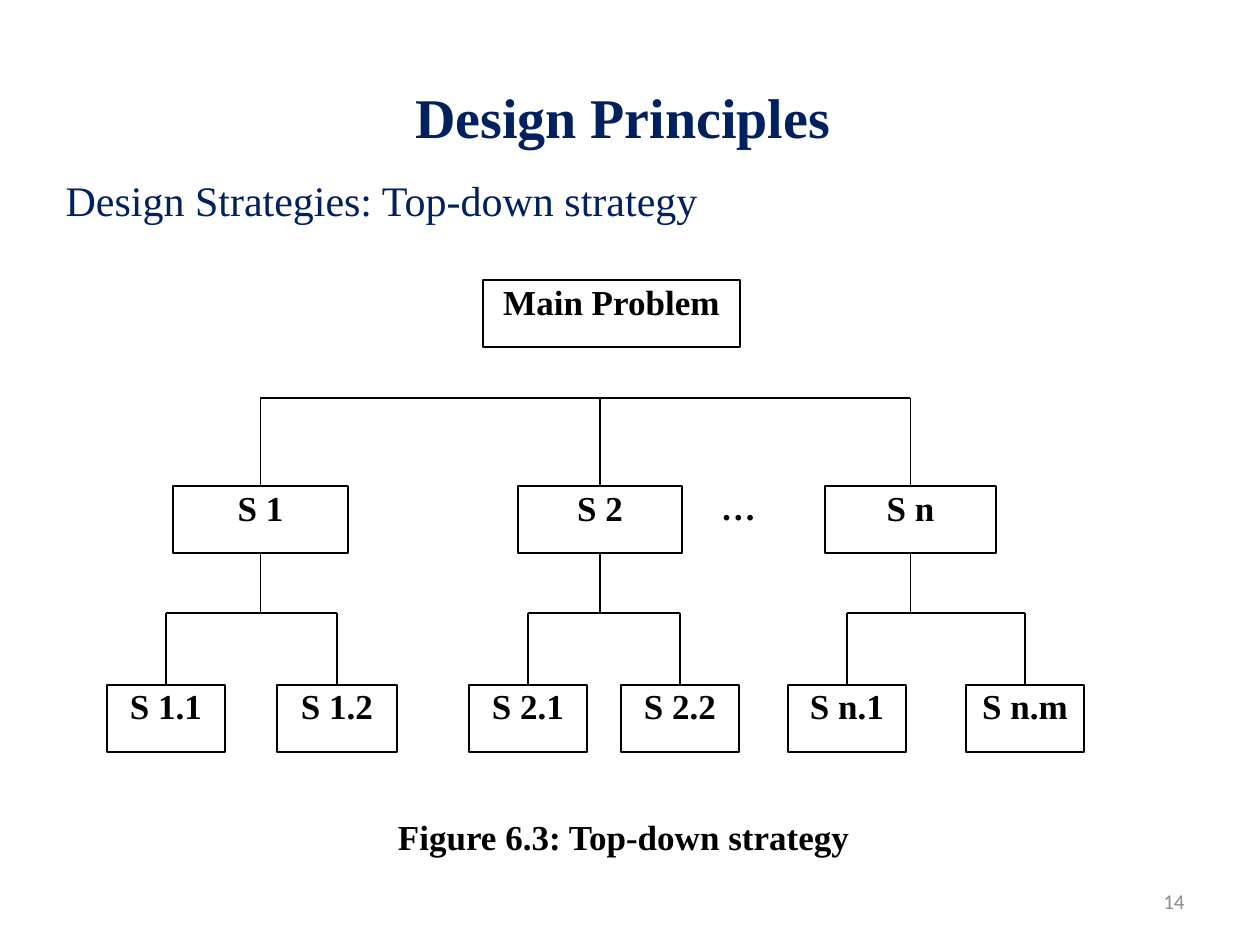
"""Build a slide showing a top-down design strategy as a tree of subproblems."""
from lxml.etree import SubElement
from pptx import Presentation
from pptx.dml.color import RGBColor
from pptx.enum.shapes import MSO_CONNECTOR, MSO_SHAPE
from pptx.enum.text import MSO_ANCHOR as Anchor, PP_ALIGN as Align
from pptx.oxml.ns import qn
from pptx.util import Emu, Pt

PX = 914400 // 126
SERIF = "Times New Roman"
NAVY, BLACK, WHITE, GREY = "002060", "000000", "FFFFFF", "8C8C8C"

TITLE = ("Design Principles ", (63, 38, 1134, 157))
SUBTITLE = ("Design Strategies: Top-down strategy", (53, 168, 1134, 84))
PAGE = ("14", (903, 876, 294, 50))
CAPTION = ("Figure 6.3: Top-down strategy", (398, 816, 480, 60))
ELLIPSIS = ("…", (721, 486, 53, 66))
ROOT = ("Main Problem", 483, 257)
BRANCHES = [
    (("S 1", 173, 175), [("S 1.1", 107, 118), ("S 1.2", 277, 120)]),
    (("S 2", 518, 164), [("S 2.1", 469, 118), ("S 2.2", 621, 118)]),
    (("S n", 825, 171), [("S n.1", 788, 118), ("S n.m", 966, 118)]),
]
ROOT_TOP, BRANCH_TOP, LEAF_TOP = 280, 486, 685
TOP_RAIL, LEAF_RAIL = 398, 613
BOX_HEIGHT = 67
TOP_SIDE, BOTTOM_SIDE = 0, 2


def px(*lengths):
    return [Emu(length * PX) for length in lengths]


def rgb(code):
    return RGBColor.from_string(code)


def write(shape, text, size, color, bold=False, align=Align.LEFT, font=SERIF):
    paragraph = shape.text_frame.paragraphs[0]
    paragraph.text = text
    paragraph.alignment = align
    paragraph.space_before = Pt(0)
    paragraph.font.name = font
    paragraph.font.size = Pt(size)
    paragraph.font.bold = bold
    paragraph.font.color.rgb = rgb(color)


def place(shape, bounds):
    shape.left, shape.top, shape.width, shape.height = px(*bounds)


def add_box(slide, text, bounds, outline=BLACK, align=Align.CENTER):
    box = slide.shapes.add_shape(MSO_SHAPE.RECTANGLE, *px(*bounds))
    box.shadow.inherit = False
    box.fill.solid()
    box.fill.fore_color.rgb = rgb(WHITE)
    box.line.color.rgb = rgb(outline)
    box.line.width = Pt(0.75)
    frame = box.text_frame
    frame.margin_left = frame.margin_top = frame.margin_right = frame.margin_bottom = 0
    frame.vertical_anchor = Anchor.TOP
    frame.word_wrap = True
    write(box, text, 20, BLACK, True, align)
    return box


def add_node(slide, node, top):
    text, left, width = node
    return add_box(slide, text, (left, top, width, BOX_HEIGHT))


def center(box):
    return box.left + box.width // 2


def add_line(slide, x1, y1, x2, y2):
    line = slide.shapes.add_connector(MSO_CONNECTOR.STRAIGHT, x1, y1, x2, y2)
    line.line.color.rgb = rgb(BLACK)
    line.line.width = Pt(0.75)
    SubElement(line._element.spPr, qn("a:effectLst"))
    return line


def add_fork(slide, boxes, rail):
    add_line(slide, center(boxes[0]), rail, center(boxes[-1]), rail)
    for box in boxes:
        drop = add_line(slide, center(box), rail, center(box), box.top)
        drop.end_connect(box, TOP_SIDE)


def add_tree(slide):
    add_node(slide, ROOT, ROOT_TOP)
    top_rail, leaf_rail = px(TOP_RAIL, LEAF_RAIL)
    parents = []
    for branch, leaves in BRANCHES:
        parent = add_node(slide, branch, BRANCH_TOP)
        parents.append(parent)
        stem = add_line(slide, center(parent), parent.top + parent.height,
                        center(parent), leaf_rail)
        stem.begin_connect(parent, BOTTOM_SIDE)
        add_fork(slide, [add_node(slide, leaf, LEAF_TOP) for leaf in leaves], leaf_rail)
    add_fork(slide, parents, top_rail)


def main():
    deck = Presentation()
    deck.slide_width, deck.slide_height = px(1260, 945)
    slide = deck.slides.add_slide(deck.slide_layouts[1])

    title, body = slide.placeholders
    place(title, TITLE[1])
    write(title, TITLE[0], 32, NAVY, True, Align.CENTER)
    place(body, SUBTITLE[1])
    properties = body.text_frame.paragraphs[0]._p.get_or_add_pPr()
    properties.set("marL", str(48 * PX))
    properties.set("indent", str(-48 * PX))
    SubElement(properties, qn("a:buNone"))
    write(body, SUBTITLE[0], 24, NAVY)

    page = slide.shapes.add_textbox(*px(*PAGE[1]))
    page.text_frame.word_wrap = True
    page.text_frame.vertical_anchor = Anchor.MIDDLE
    write(page, PAGE[0], 12, GREY, align=Align.RIGHT, font="Calibri")

    add_tree(slide)
    for text, bounds in (CAPTION, ELLIPSIS):
        add_box(slide, text, bounds, WHITE, Align.LEFT)
    deck.save("out.pptx")


if __name__ == "__main__":
    main()
